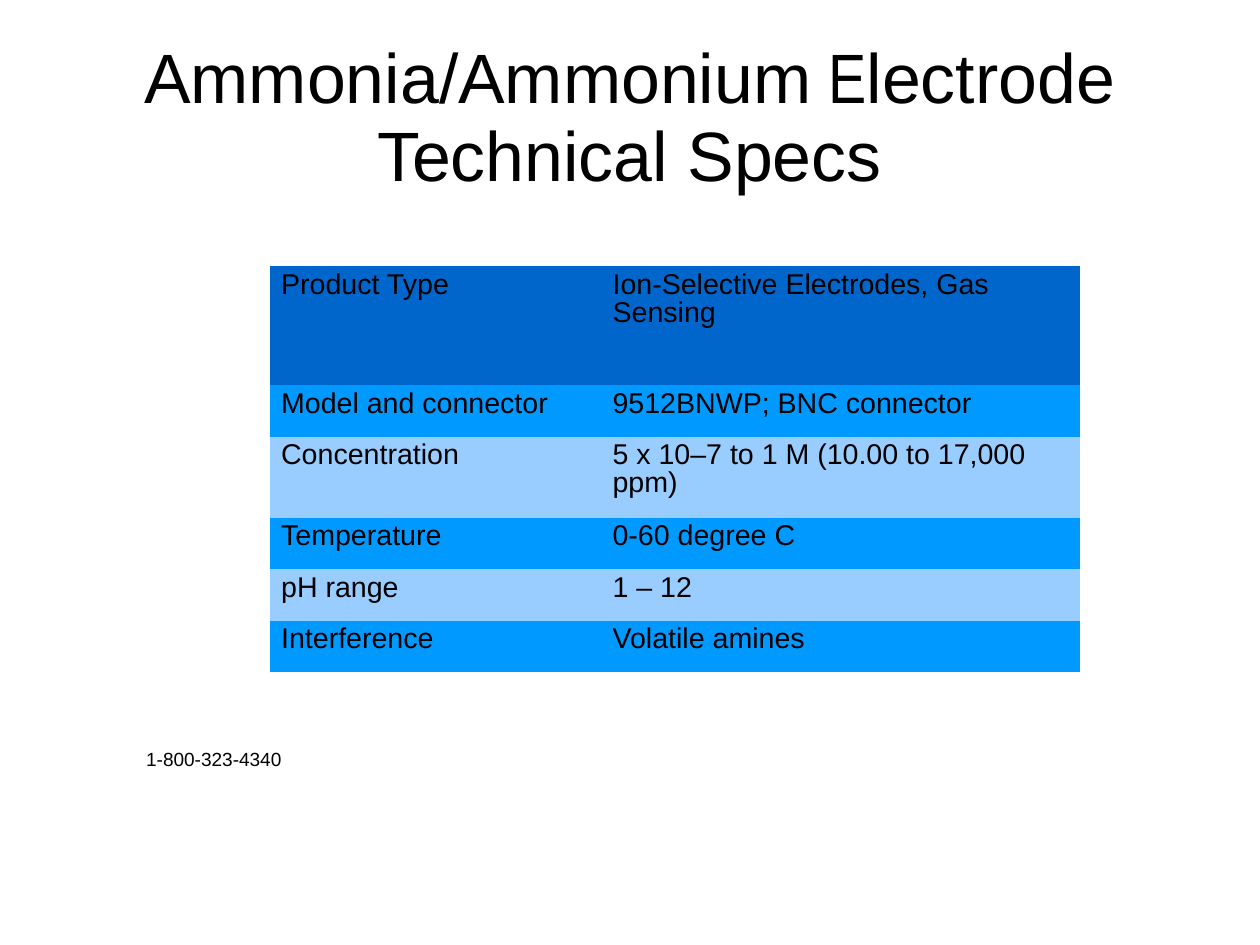
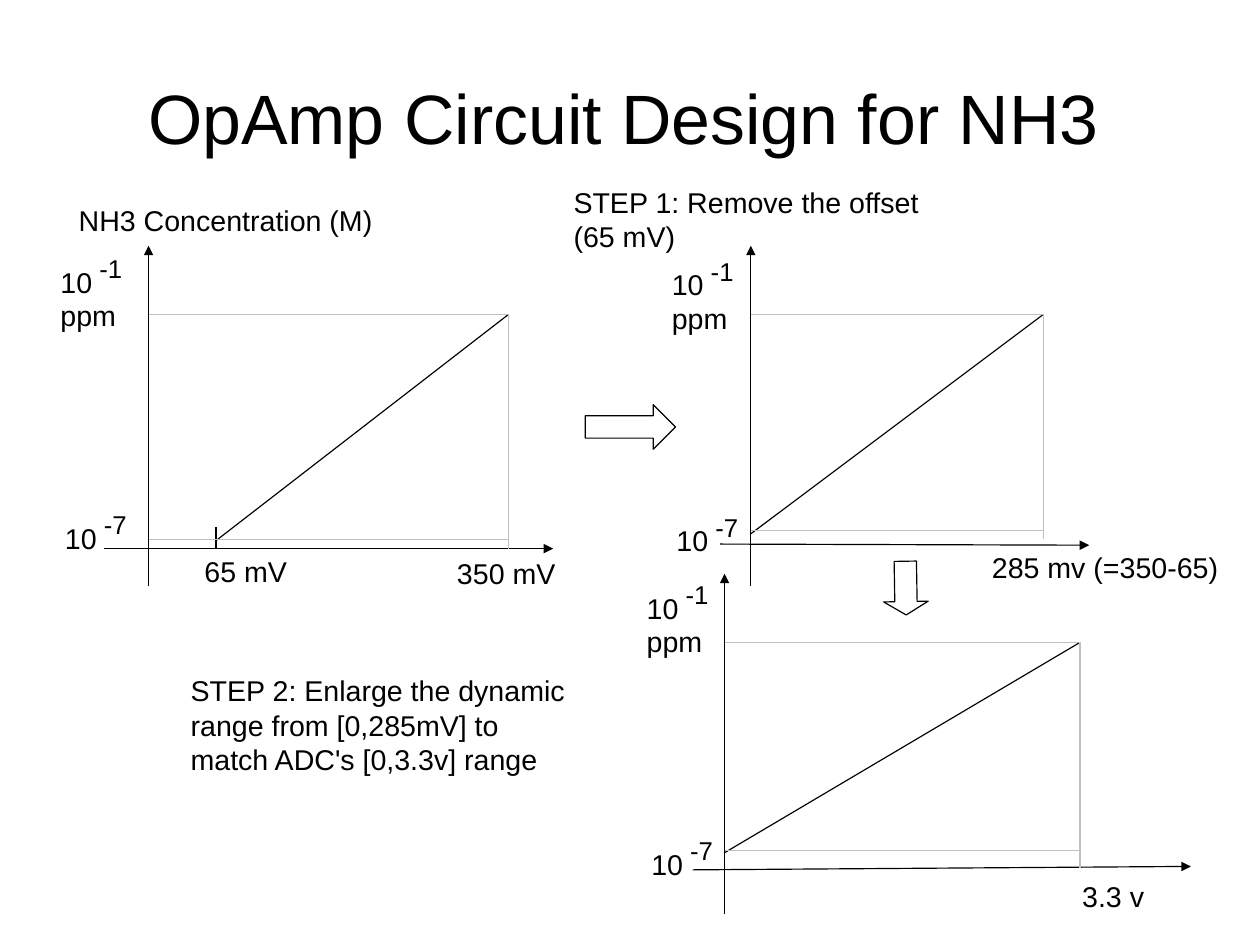
import pptx
import pptx.util
import pptx.dml.color
import pptx.enum.shapes
import pptx.enum.text
import pptx.oxml
import pptx.oxml.ns

RGB = pptx.dml.color.RGBColor
BLACK = RGB(0x00, 0x00, 0x00)
WHITE = RGB(0xFF, 0xFF, 0xFF)
GREY = RGB(0xC0, 0xC0, 0xC0)
HEAD = RGB(0x00, 0x66, 0xCC)
BANDS = (RGB(0x00, 0x99, 0xFF), RGB(0x99, 0xCC, 0xFF))
FONT, NARROW = "Arial", "Arial Narrow"
WIDE, TALL = pptx.util.Pt(793.75), pptx.util.Pt(595.25)
SHAPE = pptx.enum.shapes.MSO_SHAPE
NONE_STYLE = "{2D5ABB26-0587-4C30-8999-92F81FD0307C}"

SPECS = (
    ("Product Type", "Ion-Selective Electrodes, Gas Sensing"),
    ("Model and connector", "9512BNWP; BNC connector"),
    ("Concentration", "5 x 10–7 to 1 M (10.00 to 17,000 ppm)"),
    ("Temperature", "0-60 degree C"),
    ("pH range", "1 – 12"),
    ("Interference", "Volatile amines"),
)
COLS = (2.9, 4.19)
ROWS = (1.04, 0.45, 0.71, 0.45, 0.45, 0.45)


def grid(*cells):
    """Turn steps of the one-inch slide grid into lengths."""
    return [pptx.util.Inches(cell) for cell in cells]


def style(para, size=18, lead=None):
    para.font.name = FONT
    para.font.size = pptx.util.Pt(size)
    para.font.color.rgb = BLACK
    if lead:
        para.line_spacing = lead


def inset(frame, *sides):
    (frame.margin_left, frame.margin_top,
     frame.margin_right, frame.margin_bottom) = grid(*sides)


def title(slide, box, parts):
    """Fill the title from (text, font) parts."""
    shape = slide.shapes.title
    shape.left, shape.top, shape.width, shape.height = grid(*box)
    frame = shape.text_frame
    frame.auto_size = pptx.enum.text.MSO_AUTO_SIZE.NONE
    frame.vertical_anchor = pptx.enum.text.MSO_ANCHOR.MIDDLE
    inset(frame, 0, 0.04, 0, 0)
    para = frame.paragraphs[0]
    para.alignment = pptx.enum.text.PP_ALIGN.CENTER
    style(para, 44, 0.93)
    for text, font in parts:
        run = para.add_run()
        run.text = text
        if font != FONT:
            run.font.name = font


def label(slide, box, text, power="", size=18, lead=None, top=0.05):
    """Write a text, with an optional raised power."""
    frame = slide.shapes.add_textbox(*grid(*box)).text_frame
    frame.word_wrap = True
    inset(frame, 0.1, top, 0.1, 0.05)
    para = frame.paragraphs[0]
    para.add_run().text = text
    style(para, size, lead)
    if power:
        run = para.add_run()
        run.text = " " + power
        run.font.size = pptx.util.Pt(28)
        run.font._element.set("baseline", "33000")


def table(slide, left, top):
    shape = slide.shapes.add_table(
        len(ROWS), len(COLS), *grid(left, top, sum(COLS), sum(ROWS)))
    specs = shape.table
    specs.first_row = specs.horz_banding = False
    specs._tbl.tblPr.find(pptx.oxml.ns.qn("a:tableStyleId")).text = NONE_STYLE
    for col, width in zip(specs.columns, grid(*COLS)):
        col.width = width
    for i, (row, height) in enumerate(zip(specs.rows, grid(*ROWS))):
        row.height = height
        for cell, text in zip(row.cells, SPECS[i]):
            cell.fill.solid()
            cell.fill.fore_color.rgb = BANDS[(i - 1) % 2] if i else HEAD
            inset(cell, 0.1, 0.05, 0.1, 0.05)
            cell.text = text
            style(cell.text_frame.paragraphs[0], 18, 0.87)


def pen(shape, color):
    shape.line.color.rgb = color
    shape.line.width = pptx.util.Pt(0.75)


def line(slide, start, end, color=BLACK, tip=False):
    shape = slide.shapes.add_connector(
        pptx.enum.shapes.MSO_CONNECTOR.STRAIGHT, *grid(*start, *end))
    pen(shape, color)
    props = shape._element.spPr
    if tip:
        tail = pptx.oxml.parse_xml(
            '<a:tailEnd %s type="triangle"/>' % pptx.oxml.ns.nsdecls("a"))
        props.get_or_add_ln().append(tail)
    props.append(pptx.oxml.parse_xml(
        "<a:effectLst %s/>" % pptx.oxml.ns.nsdecls("a")))


def graph(slide, box, axis, low, start, shift):
    """Draw a response curve in a box.

    axis: left and right overhang, then depth at both ends.
    low, start: depth of the lower guide; where the curve begins.
    shift: place of the scale labels.
    """
    x, y, w, h = box
    left, right, near, far = axis
    foot = y + (near + far) / 2
    begin = x + start[0]
    line(slide, (x - left, y + near), (x + w + right, y + far), tip=True)
    line(slide, (x, y + 2.38), (x, y - 0.6), tip=True)
    line(slide, (begin, foot - 0.19), (begin, foot))
    line(slide, (begin, y + start[1]), (x + w, y))
    pts = [grid(x, y), grid(x + w, y), grid(x + w, y + h)]
    path = slide.shapes.build_freeform(*pts[0], scale=1.0)
    path.add_line_segments(pts[1:], close=False)
    guide = path.convert_to_shape()
    guide.fill.background()
    guide.shadow.inherit = False
    pen(guide, GREY)
    line(slide, (x, y + low), (x + w, y + low), GREY)
    lx, ly = x + shift[0], y + shift[1]
    label(slide, (lx, ly, 1.38, 0.24), "10", "-1")
    label(slide, (lx, ly + 0.43, 1.38, 0.38), "ppm")
    label(slide, (lx + 0.04, ly + 2.24, 1.38, 0.39), "10", "-7")


def arrow(slide, box, neck=0.5, turn=0):
    shape = slide.shapes.add_shape(SHAPE.RIGHT_ARROW, *grid(*box))
    shape.adjustments[0] = 0.5
    shape.adjustments[1] = neck
    shape.rotation = turn
    shape.shadow.inherit = False
    shape.fill.solid()
    shape.fill.fore_color.rgb = WHITE
    pen(shape, BLACK)


def specs(slide):
    title(slide, (0.55, 0.32, 9.92, 1.41),
          (("Ammonia/Ammonium", FONT), (" E", NARROW),
           ("lectrode Technical Specs", FONT)))
    table(slide, 2.36, 2.33)
    label(slide, (1.18, 6.5, 7.68, 0.28), "1-800-323-4340",
          size=12, lead=0.93, top=0.06)


def circuit(slide):
    title(slide, (0.5, 0.4, 9.92, 1.28),
          (("OpAmp Circuit Design for NH3", FONT),))
    graph(slide, (1.3, 2.75, 3.15, 2.05), (0.39, 0.39, 2.05, 2.05),
          1.97, (0.59, 1.98), (-0.87, -0.62))
    graph(slide, (6.57, 2.75, 2.56, 1.97), (0.27, 0.4, 2.01, 2.02),
          1.89, (0, 1.92), (-0.79, -0.6))
    graph(slide, (6.34, 5.62, 3.11, 1.97), (0.28, 0.97, 1.99, 1.96),
          1.82, (0, 1.84), (-0.78, -0.64))
    arrow(slide, (5.12, 3.54, 0.79, 0.39))
    arrow(slide, (7.69, 4.95, 0.47, 0.39), 0.3, 89)
    for box, text in (
        ((0.59, 1.73, 3.15, 0.2), "NH3 Concentration (M)"),
        ((4.92, 1.57, 3.54, 0.66), "STEP 1: Remove the offset (65 mV)"),
        ((1.57, 5.84, 3.54, 0.94), "STEP 2: Enlarge the dynamic range from "
         "[0,285mV] to match ADC's [0,3.3v] range"),
        ((8.58, 4.76, 2.28, 0.38), "285 mv (=350-65)"),
        ((9.37, 7.64, 0.87, 0.38), "3.3 v"),
    ):
        label(slide, box, text)
    for left, top, text in ((1.69, 4.8, "65 mV"), (3.9, 4.82, "350 mV")):
        label(slide, (left, top, 1.18, 0.38), text, lead=0.93, top=0.07)


def main():
    deck = pptx.Presentation()
    deck.slide_width, deck.slide_height = WIDE, TALL
    for build in (specs, circuit):
        build(deck.slides.add_slide(deck.slide_layouts[5]))
    deck.save("out.pptx")


if __name__ == "__main__":
    main()
